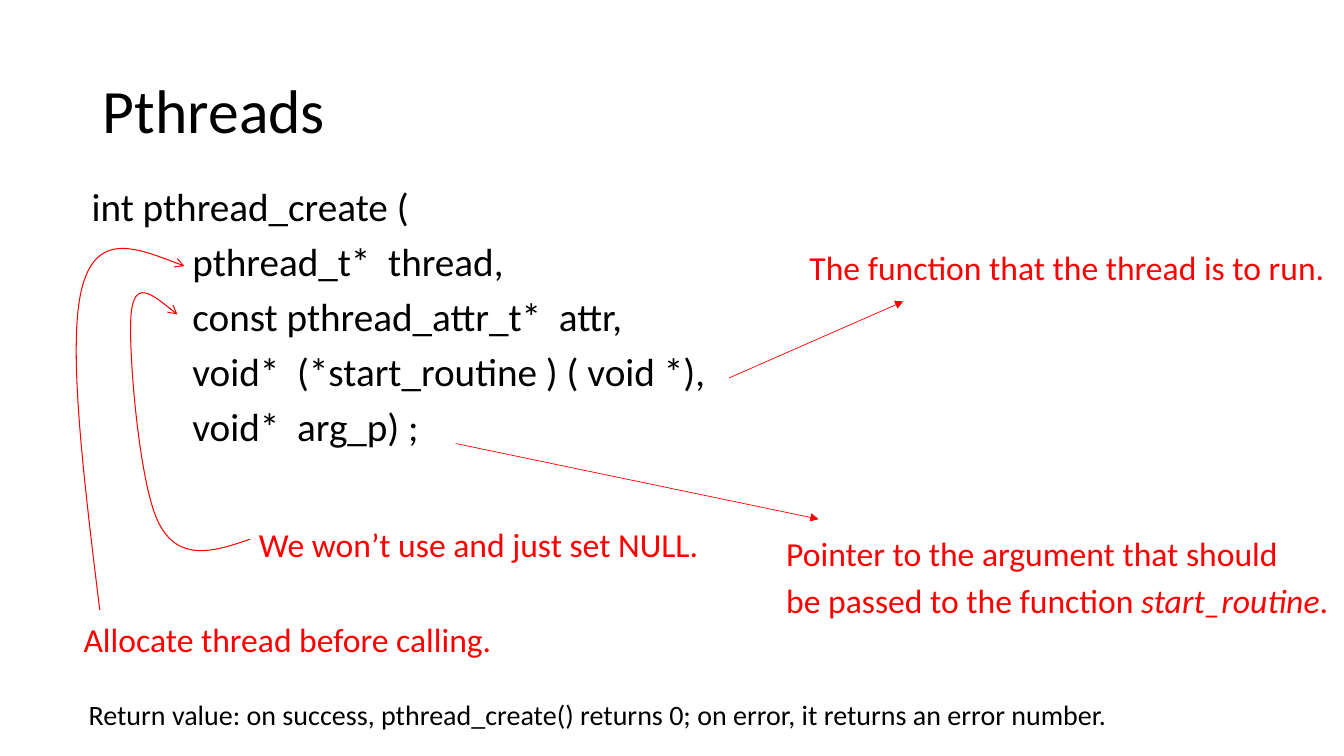
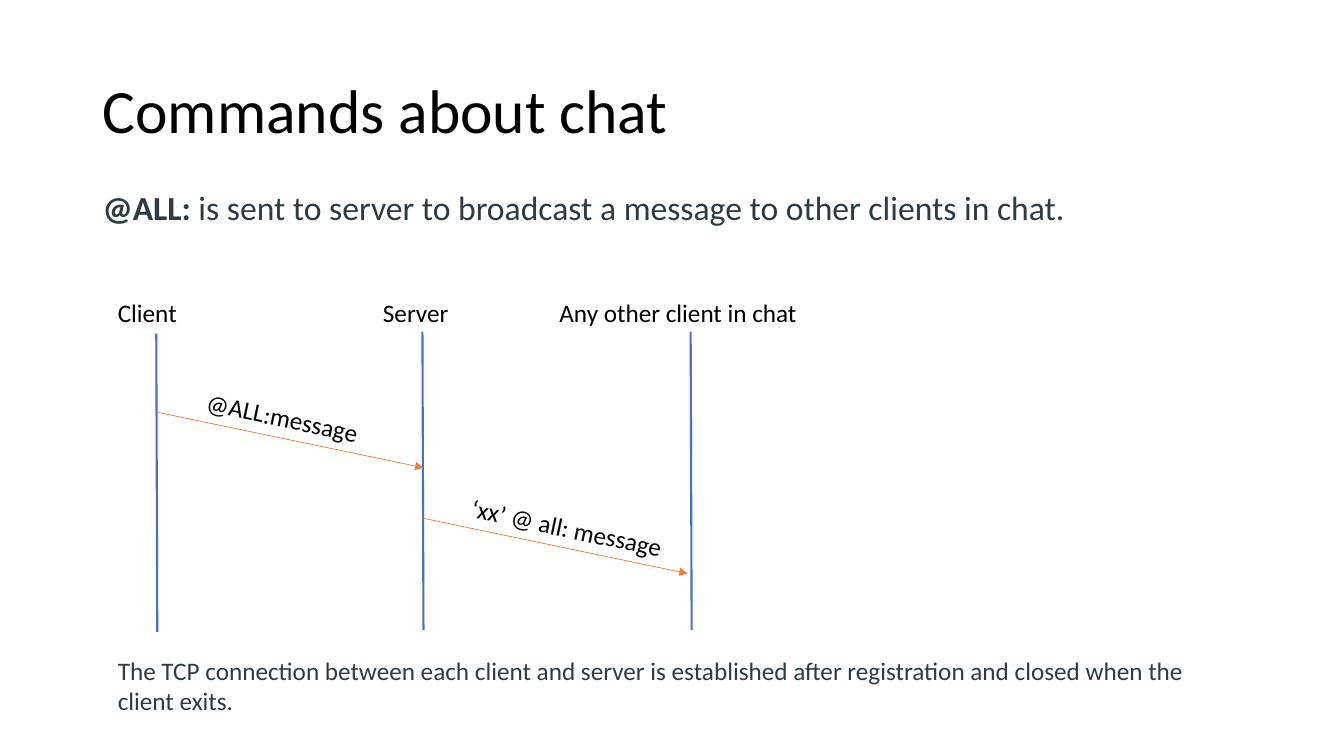
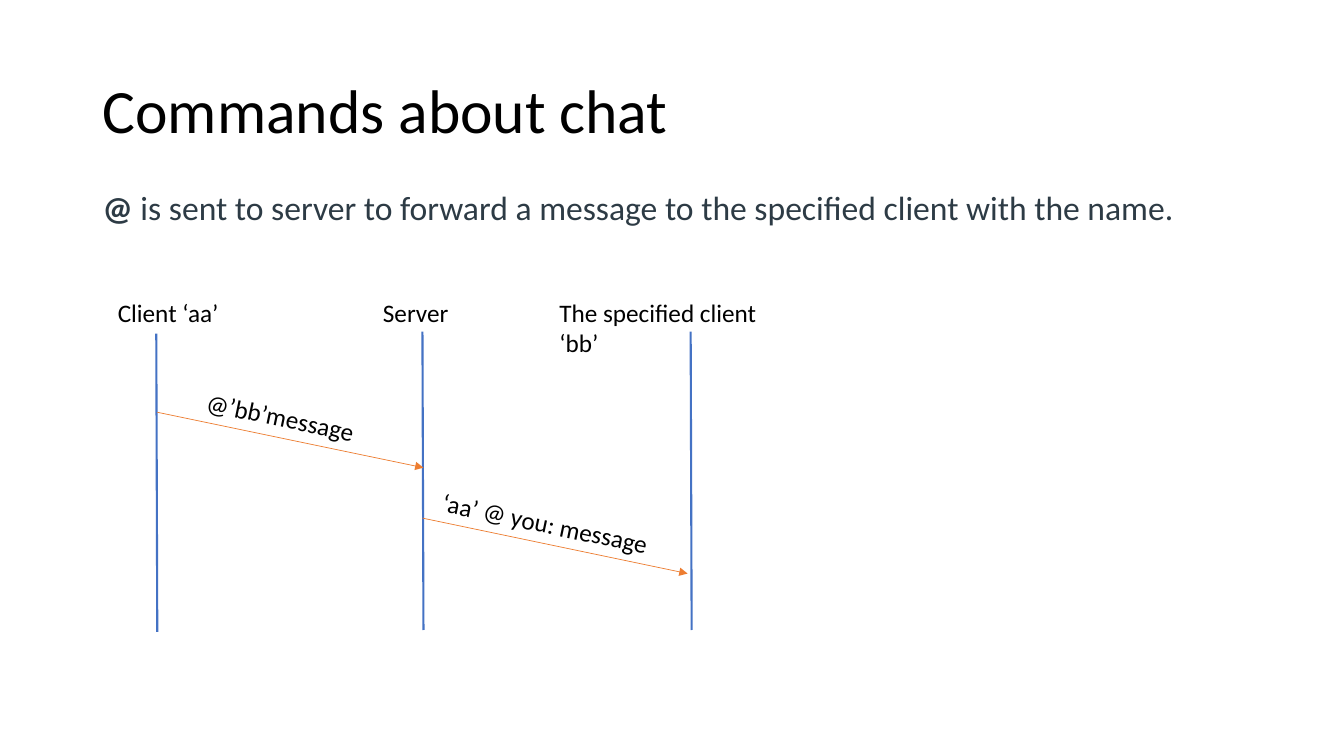
from lxml.etree import SubElement
from pptx import Presentation
from pptx.dml.color import RGBColor
from pptx.enum.shapes import MSO_CONNECTOR
from pptx.enum.text import MSO_ANCHOR
from pptx.oxml.ns import qn
from pptx.util import Inches, Pt

FONT = "Calibri"
BLACK = "000000"
RED = "FF0000"
SLATE = "2D3B45"
BLUE = "4472C4"
ORANGE = "ED7D31"
MESSAGE_TILT = 11.9


def color(hex_code):
    return RGBColor.from_string(hex_code)


def add_text(slide, box, paragraphs, size, ink=BLACK, wrap=True, rotation=0,
             anchor=MSO_ANCHOR.TOP, line_spacing=None, gap=0, tab=None):
    label = slide.shapes.add_textbox(*(Inches(length) for length in box))
    label.rotation = rotation
    frame = label.text_frame
    frame.word_wrap = wrap
    frame.vertical_anchor = anchor
    for index, pieces in enumerate(paragraphs):
        paragraph = frame.paragraphs[0] if index == 0 else frame.add_paragraph()
        if line_spacing:
            paragraph.line_spacing = line_spacing
        if index and gap:
            paragraph.space_before = Pt(gap)
        if tab:
            stops = SubElement(paragraph._p.get_or_add_pPr(), qn("a:tabLst"))
            SubElement(stops, qn("a:tab"), pos=str(Inches(tab)), algn="l")
        font = paragraph.font
        font.name, font.size = FONT, Pt(size)
        font.color.rgb = color(ink)
        for piece in [pieces] if isinstance(pieces, str) else pieces:
            words, style = (piece, None) if isinstance(piece, str) else piece
            run = paragraph.add_run()
            run.text = words
            if style == "bold":
                run.font.bold = True
            elif style == "italic":
                run.font.italic = True


def style_line(line, ink, width, end=None, head=None):
    line.color.rgb = color(ink)
    line.width = Pt(width)
    if end:
        SubElement(line._get_or_add_ln(), qn(f"a:{end}"), type=head)


def add_line(slide, start, finish, ink, width, arrow=False):
    connector = slide.shapes.add_connector(
        MSO_CONNECTOR.STRAIGHT, *(Inches(v) for v in (*start, *finish)))
    style_line(connector.line, ink, width, "tailEnd" if arrow else None, "triangle")
    SubElement(connector._element.spPr, qn("a:effectLst"))


def add_curved_arrow(slide, tip, controls):
    start, *rest = [(Inches(x), Inches(y)) for x, y in (tip, *controls)]
    builder = slide.shapes.build_freeform(*start)
    builder.add_line_segments(rest, close=False)
    curve = builder.convert_to_shape()
    curve.shadow.inherit = False
    curve.fill.background()
    style_line(curve.line, RED, 0.75, "headEnd", "arrow")
    segments = list(curve._element.iter(qn("a:lnTo")))
    for first in range(0, len(segments), 3):
        bezier = SubElement(segments[first].getparent(), qn("a:cubicBezTo"))
        for segment in segments[first:first + 3]:
            bezier.append(segment[0])
            segment.getparent().remove(segment)


def add_titled_slide(deck, title):
    slide = deck.slides.add_slide(deck.slide_layouts[6])
    add_text(slide, (0.92, 0.4, 11.5, 1.45), [title], 44,
             anchor=MSO_ANCHOR.MIDDLE, line_spacing=0.9)
    return slide


def add_note(slide, box, *lines):
    add_text(slide, box, lines, 24, RED, wrap=False, gap=4.3)


def build_pthreads(deck):
    slide = add_titled_slide(deck, "Pthreads")
    signature = [
        "int pthread_create (",
        "\tpthread_t*  thread,",
        "\tconst pthread_attr_t*  attr,",
        "\tvoid*  (*start_routine ) ( void *),",
        "\tvoid*  arg_p) ;",
    ]
    add_text(slide, (0.81, 1.76, 8.01, 2.84), signature, 28, gap=5.6, tab=1)
    add_note(slide, (2.47, 5.15, 4.6, 0.5), "We won’t use and just set NULL.")
    add_note(slide, (0.73, 6.09, 4.29, 0.5), "Allocate thread before calling.")
    add_curved_arrow(slide, (1.83, 2.64), [
        (1.39, 2.47), (0.95, 2.3), (0.81, 2.87),
        (0.67, 3.44), (0.83, 4.75), (0.99, 6.05)])
    add_curved_arrow(slide, (1.76, 3.12), [
        (1.55, 2.95), (1.33, 2.77), (1.3, 3.12),
        (1.27, 3.47), (1.38, 4.83), (1.58, 5.2),
        (1.78, 5.58), (2.13, 5.47), (2.48, 5.35)])
    add_note(slide, (7.93, 2.4, 5.36, 0.5), "The function that the thread is to run.")
    add_note(slide, (7.7, 5.24, 5.63, 0.99),
             "Pointer to the argument that should",
             ["be passed to the function ", ("start_routine", "italic"), "."])
    add_line(slide, (7.23, 3.75), (8.96, 2.99), RED, 0.5, arrow=True)
    add_line(slide, (4.52, 4.4), (8.12, 5.15), RED, 0.5, arrow=True)
    add_text(slide, (0.78, 6.87, 12.14, 0.44),
             ["Return value: on success, pthread_create() returns 0; "
              "on error, it returns an error number."], 20)


def build_chat_command(deck, command, purpose, participants, request, delivery):
    slide = add_titled_slide(deck, "Commands about chat")
    add_text(slide, (0.92, 1.85, 11.66, 0.89), [[(command, "bold"), purpose]],
             24, SLATE, line_spacing=0.9)
    lifelines = [(1.55, 3.31), (4.19, 3.29), (6.85, 3.29)]
    headings = [(1.07, 1.36), (3.7, 1), (5.45, 2.59)]
    for (x, top), (left, width), name in zip(lifelines, headings, participants):
        add_line(slide, (x, top), (x + 0.01, top + 2.96), BLUE, 1.5)
        add_text(slide, (left, 2.9, width, 0.4), [name], 18)
    add_line(slide, (1.56, 4.09), (4.2, 4.64), ORANGE, 0.5, arrow=True)
    add_line(slide, (4.19, 5.14), (6.82, 5.69), ORANGE, 0.5, arrow=True)
    for words, box in ((request, (1.94, 3.95, 1.83, 0.4)), delivery):
        add_text(slide, box, [words], 18, rotation=MESSAGE_TILT)
    return slide


def main():
    deck = Presentation()
    deck.slide_width, deck.slide_height = Inches(13.33), Inches(7.5)
    build_pthreads(deck)
    broadcast = build_chat_command(
        deck, "@ALL:",
        " is sent to server to broadcast a message to other clients in chat.",
        ["Client", "Server", "Any other client in chat"],
        "@ALL:message", ("‘xx’ @ all: message", (4.56, 5.05, 2.27, 0.4)))
    add_text(broadcast, (1.07, 6.45, 11.1, 0.71),
             ["The TCP connection between each client and server is established "
              "after registration and closed when the client exits."], 18, SLATE)
    build_chat_command(
        deck, "@",
        " is sent to server to forward a message to the specified client with the name.",
        ["Client ‘aa’", "Server", "The specified client ‘bb’"],
        "@’bb’message", ("‘aa’ @ you: message", (4.27, 5.02, 2.56, 0.4)))
    deck.save("out.pptx")


if __name__ == "__main__":
    main()
